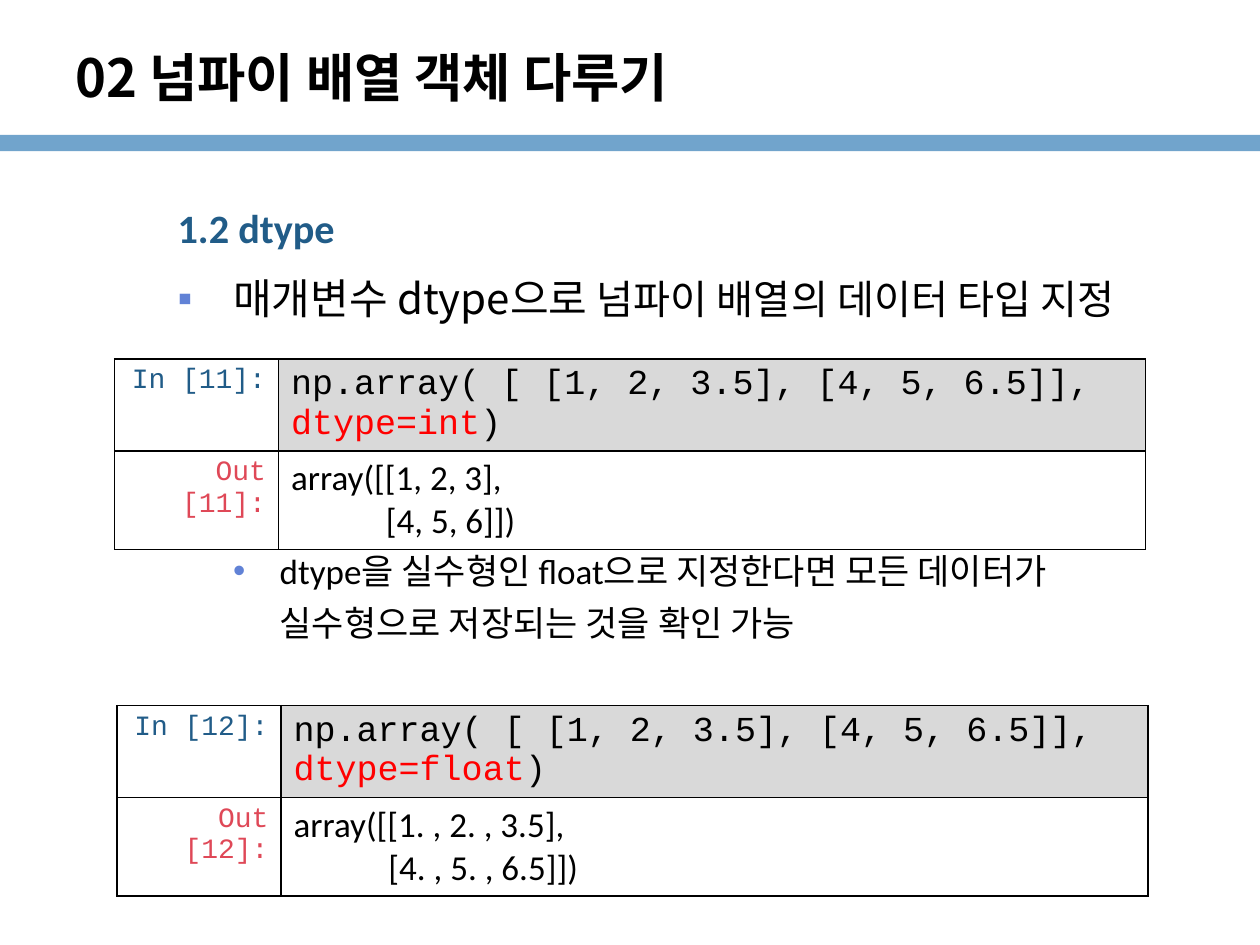
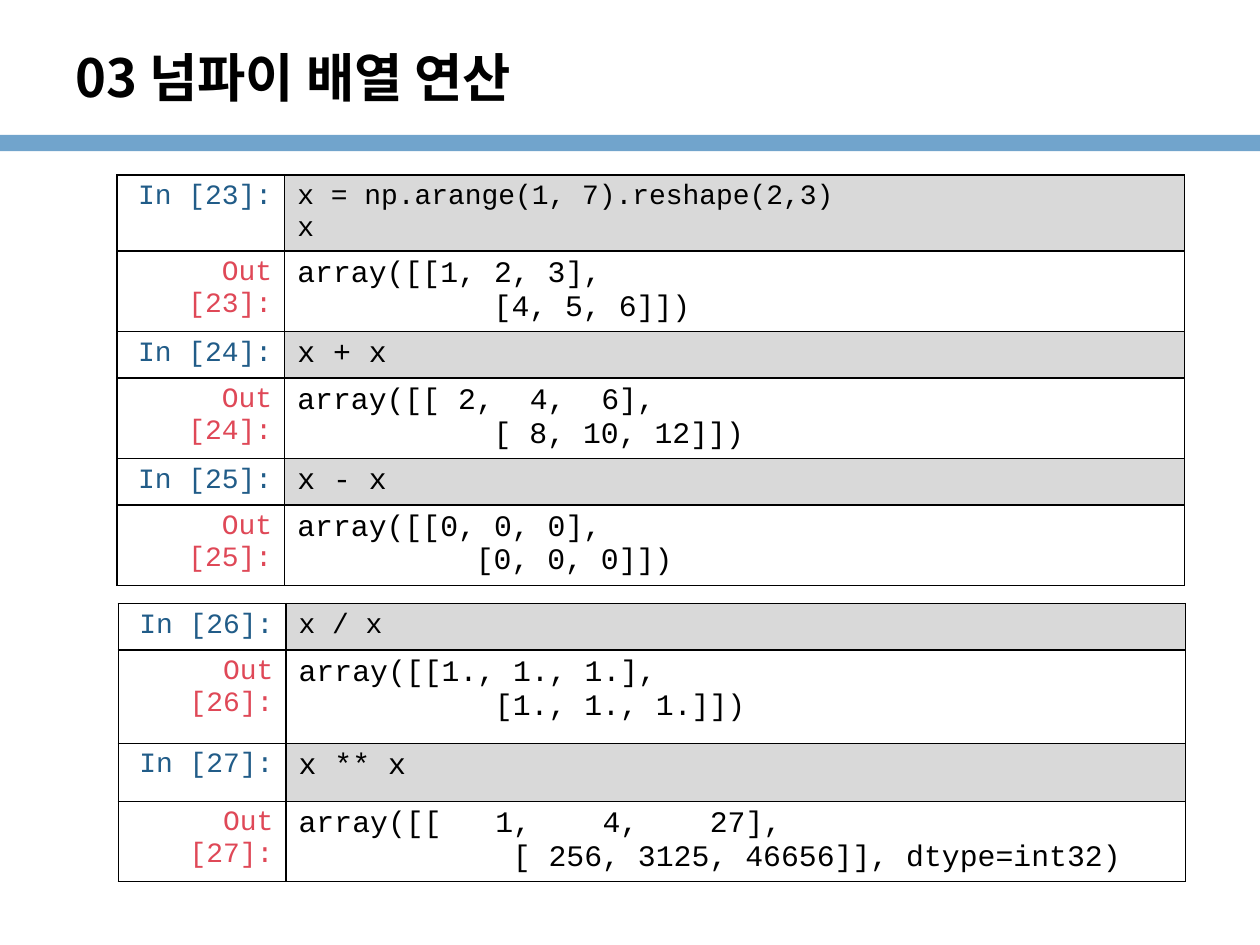
from dataclasses import dataclass

from lxml import etree
from pptx import Presentation
from pptx import util as u
from pptx.dml.color import RGBColor
from pptx.enum import shapes, text
from pptx.oxml import ns

BLACK = RGBColor(0x00, 0x00, 0x00)
WHITE = RGBColor(0xFF, 0xFF, 0xFF)
BAND = RGBColor(0x71, 0xA4, 0xCC)
NAVY = RGBColor(0x21, 0x5C, 0x88)
BULLET = RGBColor(0x61, 0x82, 0xD6)
ROSE = RGBColor(0xDF, 0x48, 0x57)
RED = RGBColor(0xFF, 0x00, 0x00)
GREY = RGBColor(0xD9, 0xD9, 0xD9)

SANS = "Calibri"
MONO = "Courier New"
KOREAN = "Noto Sans CJK KR"
SPACE_EM = {SANS: 0.226, MONO: 0.6}
LABEL_SIZE = 16


@dataclass(frozen=True)
class Run:
    text: str
    size: float
    font: str = MONO
    color: RGBColor = BLACK
    bold: bool = False


@dataclass(frozen=True)
class Line:
    runs: tuple[Run, ...]
    spaces: int = 0


@dataclass(frozen=True)
class Step:
    number: int
    code: tuple[Line, ...]
    result: tuple[Line, ...]
    heights: tuple[float, float]


@dataclass(frozen=True)
class Notebook:
    left: float
    top: float
    widths: tuple[float, float]
    steps: tuple[Step, ...]


@dataclass(frozen=True)
class Item:
    runs: tuple[Run, ...]
    level: int
    margin: float
    indent: float
    before: float
    bullet: str = ""


def line(words: str, size: float, spaces: int = 0, font: str = MONO) -> Line:
    return Line((Run(words, size, font),), spaces)


def typed_array(number: int, dtype: str, rows: tuple[str, str]) -> Step:
    code = Line((Run("np.array( [ [1, 2, 3.5], [4, 5, 6.5]], ", 20),
                 Run(f"dtype={dtype}", 20, color=RED), Run(")", 20)))
    result = (line(rows[0], 20, font=SANS), line(rows[1], 20, 12, SANS))
    return Step(number, (code,), result, (0.73, 0.78))


def operation(number: int, code: tuple[str, ...], rows: tuple[str, str], spaces: int,
              heights: tuple[float, float] = (0.37, 0.63), size: float = 17) -> Step:
    result = (line(rows[0], 17), line(rows[1], 17, spaces))
    return Step(number, tuple(line(c, size) for c in code), result, heights)


DTYPE_ITEMS = (
    Item((Run("1.2 dtype", 23, SANS, NAVY, True),), 1, 0.81, 0, 6.5),
    Item((Run("매개변수 dtype으로 ", 24, KOREAN),
          Run("넘파이 배열의 데이터 타입 지정", 23, SANS)), 1, 1.25, -0.44, 4.6, "▪"),
    Item((Run("dtype을 실수형인 float으로 지정한다면 모든 데이터가 "
              "실수형으로 저장되는 것을 확인 가능", 20, SANS),), 2, 1.62, -0.37, 123.5, "•"),
)
DTYPE_WIDTHS = (1.3, 6.88)
DTYPE_TABLES = (
    Notebook(0.91, 2.85, DTYPE_WIDTHS, (
        typed_array(11, "int", ("array([[1, 2, 3],", "[4, 5, 6]])")),)),
    Notebook(0.93, 5.6, DTYPE_WIDTHS, (
        typed_array(12, "float", ("array([[1. , 2. , 3.5],", "[4. , 5. , 6.5]])")),)),
)
MATH_WIDTHS = (1.33, 7.14)
MATH_TABLES = (
    Notebook(0.93, 1.39, MATH_WIDTHS, (
        operation(23, ("x = np.arange(1, 7).reshape(2,3)", "x"),
                  ("array([[1, 2, 3],", "[4, 5, 6]])"), 11, (0.6, 0.63), 16),
        operation(24, ("x + x",), ("array([[ 2,  4,  6],", "[ 8, 10, 12]])"), 11),
        operation(25, ("x - x",), ("array([[0, 0, 0],", "[0, 0, 0]])"), 10))),
    Notebook(0.94, 4.79, MATH_WIDTHS, (
        operation(26, ("x / x",), ("array([[1., 1., 1.],", "[1., 1., 1.]])"), 11,
                  (0.37, 0.74), 16),
        operation(27, ("x ** x",), ("array([[   1,    4,    27],",
                                    "[ 256, 3125, 46656]], dtype=int32)"), 12, (0.46, 0.63)))),
)


def set_all(target, values: dict) -> None:
    for name, value in values.items():
        setattr(target, name, value)


def add_runs(p, runs: tuple[Run, ...]) -> None:
    for run in runs:
        r = p.add_run()
        r.text = run.text
        set_all(r.font, {"size": u.Pt(run.size), "name": run.font, "bold": run.bold})
        r.font.color.rgb = run.color


def next_paragraph(tf, index: int):
    return tf.add_paragraph() if index else tf.paragraphs[0]


def place(sp, left: float, top: float, width: float, height: float) -> None:
    set_all(sp, {"left": u.Inches(left), "top": u.Inches(top),
                 "width": u.Inches(width), "height": u.Inches(height)})


def indent(p, margin: float, first: float = 0) -> None:
    pPr = p._p.get_or_add_pPr()
    pPr.set("marL", str(u.Inches(margin)))
    pPr.set("indent", str(u.Inches(first)))


def add_color(parent, tag: str, color: RGBColor) -> None:
    holder = etree.SubElement(parent, ns.qn(tag))
    etree.SubElement(holder, ns.qn("a:srgbClr")).set("val", str(color))


def add_master_band(prs, s) -> None:
    sp = s.shapes.add_shape(shapes.MSO_SHAPE.RECTANGLE, 0, u.Inches(1.07),
                            prs.slide_width, u.Inches(0.13))
    sp.shadow.inherit = False
    sp.fill.solid()
    sp.fill.fore_color.rgb = BAND
    sp.line.fill.background()
    prs.slide_master.shapes.element.append(sp.element)


def add_slide(prs, layout: int, title: str):
    s = prs.slides.add_slide(prs.slide_layouts[layout])
    sp = s.shapes.title
    place(sp, 0.5, 0.3, 7.83, 0.62)
    tf = sp.text_frame
    set_all(tf, {"vertical_anchor": text.MSO_ANCHOR.MIDDLE,
                 "auto_size": text.MSO_AUTO_SIZE.NONE, "word_wrap": True})
    p = tf.paragraphs[0]
    p.alignment = text.PP_ALIGN.LEFT
    add_runs(p, (Run(title, 30, KOREAN, bold=True),))
    return s


def fill_body(sp, items: tuple[Item, ...]) -> None:
    place(sp, 0.5, 1.47, 9, 5.64)
    tf = sp.text_frame
    set_all(tf, {"auto_size": text.MSO_AUTO_SIZE.NONE, "word_wrap": True})
    for i, item in enumerate(items):
        p = next_paragraph(tf, i)
        set_all(p, {"level": item.level, "line_spacing": 1.25,
                    "space_before": u.Pt(item.before)})
        indent(p, item.margin, item.indent)
        pPr = p._p.get_or_add_pPr()
        if item.bullet:
            add_color(pPr, "a:buClr", BULLET)
            etree.SubElement(pPr, ns.qn("a:buChar")).set("char", item.bullet)
        else:
            etree.SubElement(pPr, ns.qn("a:buNone"))
        add_runs(p, item.runs)


def fill_cell(cell, lines: tuple[Line, ...], fill: RGBColor, align) -> None:
    tcPr = cell._tc.get_or_add_tcPr()
    for side in ("a:lnL", "a:lnR", "a:lnT", "a:lnB"):
        ln = etree.SubElement(tcPr, ns.qn(side))
        ln.set("w", str(u.Pt(1)))
        add_color(ln, "a:solidFill", BLACK)
    cell.fill.solid()
    cell.fill.fore_color.rgb = fill
    for i, row in enumerate(lines):
        p = next_paragraph(cell.text_frame, i)
        p.alignment = align
        if row.spaces:
            first = row.runs[0]
            indent(p, row.spaces * SPACE_EM[first.font] * first.size / 72)
        add_runs(p, row.runs)


def add_notebook(s, book: Notebook) -> None:
    heights = [h for step in book.steps for h in step.heights]
    frame = s.shapes.add_table(len(heights), 2, u.Inches(book.left), u.Inches(book.top),
                               u.Inches(sum(book.widths)), u.Inches(sum(heights)))
    table = frame.table
    set_all(table, {"first_row": False, "horz_banding": False})
    for column, width in zip(table.columns, book.widths):
        column.width = u.Inches(width)
    for row, height in zip(table.rows, heights):
        row.height = u.Inches(height)
    for i, step in enumerate(book.steps):
        pair = (("In", NAVY, step.code, GREY), ("Out", ROSE, step.result, WHITE))
        for j, (word, color, lines, fill) in enumerate(pair):
            label = Line((Run(f"{word} [{step.number}]:", LABEL_SIZE, color=color),))
            fill_cell(table.cell(2 * i + j, 0), (label,), WHITE, text.PP_ALIGN.RIGHT)
            fill_cell(table.cell(2 * i + j, 1), lines, fill, text.PP_ALIGN.LEFT)


def main() -> None:
    prs = Presentation()
    set_all(prs, {"slide_width": u.Inches(10), "slide_height": u.Inches(7.5)})

    s = add_slide(prs, 1, "02 넘파이 배열 객체 다루기")
    add_master_band(prs, s)
    fill_body(s.placeholders[1], DTYPE_ITEMS)
    for book in DTYPE_TABLES:
        add_notebook(s, book)

    s = add_slide(prs, 5, "03 넘파이 배열 연산")
    for book in MATH_TABLES:
        add_notebook(s, book)

    prs.save("out.pptx")


if __name__ == "__main__":
    main()
